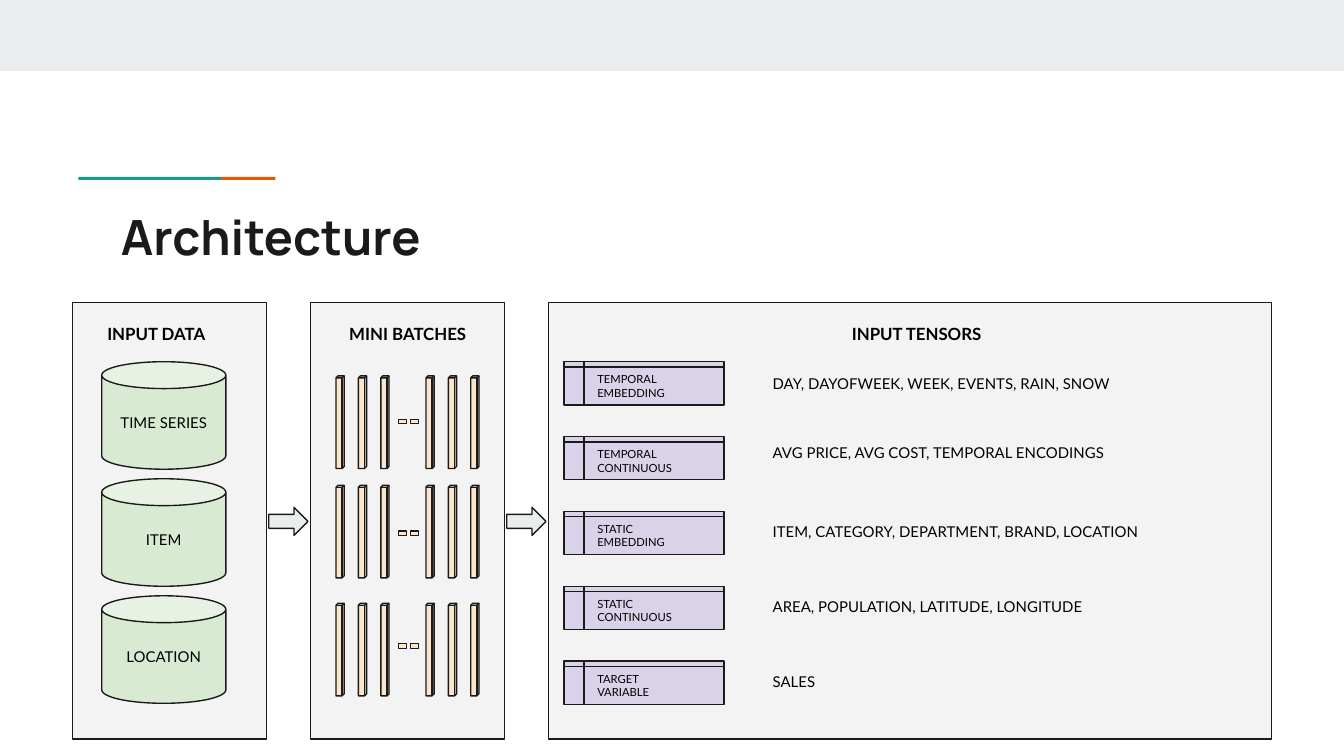
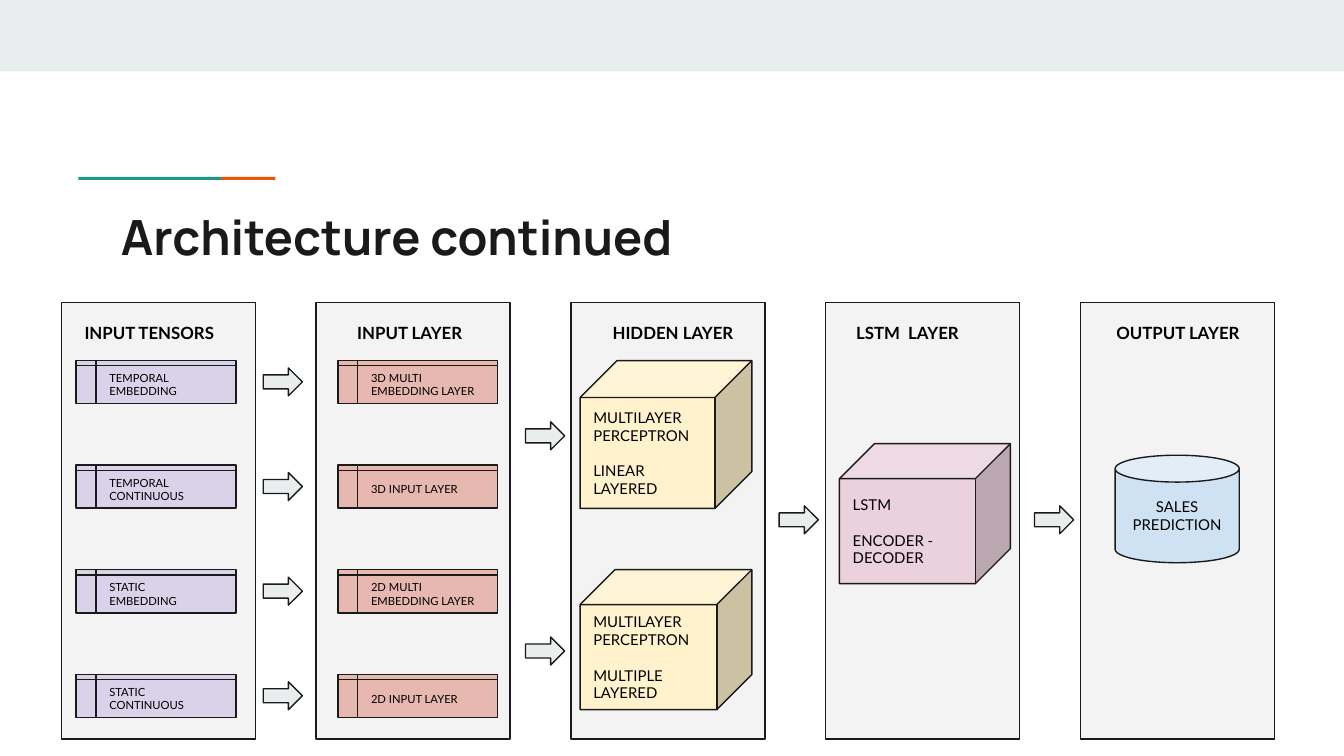
from pptx import Presentation
from pptx.dml.color import RGBColor
from pptx.enum.shapes import MSO_SHAPE as Shape
from pptx.enum.text import MSO_ANCHOR as Anchor, MSO_AUTO_SIZE as AutoSize, PP_ALIGN as Align
from pptx.util import Pt

INK, BLACK = "1A1A1A", "000000"
BAND, PANEL = "E9EDEE", "F3F3F3"
TEAL, ORANGE = "1A9988", "EB5600"
GREEN, PEACH, LILAC = "D9EAD3", "FCE5CD", "D9D2E9"
ROSE, YELLOW, PINK, BLUE = "E6B8AF", "FFF2CC", "EAD1DC", "CFE2F3"
TITLE_FONT, BODY_FONT = "Manrope", "Lato"

PANEL_TOP, PANEL_WIDTH, PANEL_HEIGHT = 162, 104, 234
CAN_SIZE = (66.5, 57.6)
BLOCK_SIZE = (85.7, 23.1)
ARROW_SIZE = (21, 15)


def color(hex_string):
    return RGBColor.from_string(hex_string)


def style_text(frame, size, font, ink, bold=False, align=Align.LEFT):
    for para in frame.paragraphs:
        para.alignment = align
        for span in para.runs:
            span.font.size = Pt(size)
            span.font.name = font
            span.font.bold = bold
            span.font.color.rgb = color(ink)


def set_margins(frame):
    frame.margin_left = frame.margin_right = Pt(7.2)
    frame.margin_top = frame.margin_bottom = Pt(7.2)
    frame.word_wrap = True


def add_box(page, kind, left, top, width, height, fill, line=INK,
            text="", size=8, align=Align.LEFT):
    """Add a filled preset shape, outlined unless line is None."""
    box = page.shapes.add_shape(kind, Pt(left), Pt(top), Pt(width), Pt(height))
    box.shadow.inherit = False
    box.fill.solid()
    box.fill.fore_color.rgb = color(fill)
    if line:
        box.line.color.rgb = color(line)
        box.line.width = Pt(0.75)
    else:
        box.line.fill.background()
    if text:
        frame = box.text_frame
        set_margins(frame)
        frame.vertical_anchor = Anchor.MIDDLE
        frame.text = text
        style_text(frame, size, BODY_FONT, BLACK, align=align)
    return box


def add_panel(page, left, width=PANEL_WIDTH):
    add_box(page, Shape.RECTANGLE, left, PANEL_TOP, width, PANEL_HEIGHT, PANEL)


def add_heading(page, left, top, width, text):
    box = page.shapes.add_textbox(Pt(left), Pt(top), Pt(width), Pt(20))
    set_margins(box.text_frame)
    box.text_frame.text = text
    style_text(box.text_frame, 9, BODY_FONT, BLACK, bold=True)


def add_can(page, left, top, fill, text):
    add_box(page, Shape.CAN, left, top, *CAN_SIZE, fill, text=text, align=Align.CENTER)


def add_block(page, left, top, fill, text):
    add_box(page, Shape.FLOWCHART_INTERNAL_STORAGE, left, top, *BLOCK_SIZE, fill,
            text=text, size=6)


def add_arrow(page, left, top):
    add_box(page, Shape.RIGHT_ARROW, left, top, *ARROW_SIZE, BAND)


def add_network_cube(page, left, top, width, height, fill, text):
    """Add a cube whose second paragraph stands one line below the first."""
    cube = add_box(page, Shape.CUBE, left, top, width, height, fill, text=text)
    cube.text_frame.paragraphs[1].space_before = Pt(9.6)


def add_batch_row(page, top, dash_top):
    """Add six thin bars with two dashes in the middle."""
    for start in (180, 228.2):
        for column in range(3):
            add_box(page, Shape.CUBE, start + 12 * column, top, 4.4, 49.6, PEACH)
    for left in (213.6, 219.8):
        add_box(page, Shape.RECTANGLE, left, dash_top, 4.3, 2.4, PEACH)


def prepare_layout(layout):
    for holder in list(layout.placeholders)[1:]:
        holder.element.getparent().remove(holder.element)
    title = layout.placeholders[0]
    title.left, title.top, title.width, title.height = Pt(57.6), Pt(103.7), Pt(605.5), Pt(42.5)
    set_margins(title.text_frame)
    title.text_frame.vertical_anchor = Anchor.TOP
    title.text_frame.auto_size = AutoSize.NONE


def decorate_layout(layout, page):
    """Draw the band and the title rule, then move them to the layout."""
    for left, top, width, height, fill in (
        (0, 0, 720, 38.2, BAND),
        (42, 94.8, 76.5, 1.6, TEAL),
        (118.5, 94.8, 29, 1.6, ORANGE),
    ):
        box = add_box(page, Shape.RECTANGLE, left, top, width, height, fill, line=None)
        layout.element.cSld.spTree.insert(2, box.element)


def add_page(deck, layout, title):
    page = deck.slides.add_slide(layout)
    page.shapes.title.text_frame.text = title
    style_text(page.shapes.title.text_frame, 26, TITLE_FONT, INK, bold=True)
    return page


def build_inputs(page):
    for left, width in ((38.8, PANEL_WIDTH), (166.3, PANEL_WIDTH), (293.8, 387.4)):
        add_panel(page, left, width)
    for left, width, text in ((50.4, 76.3, "INPUT DATA"), (180, 85.7, "MINI BATCHES"),
                              (449.3, 96.5, "INPUT TENSORS")):
        add_heading(page, left, 168, width, text)

    for row, text in enumerate(("TIME SERIES", "ITEM", "LOCATION")):
        add_can(page, 54.5, 193.8 + 62.7 * row, GREEN, text)
    for top, dash_top in ((201.4, 224.6), (260, 284.4), (323.2, 344.9)):
        add_batch_row(page, top, dash_top)

    tensors = (
        ("TEMPORAL EMBEDDING", 195.4, "DAY, DAYOFWEEK, WEEK, EVENTS, RAIN, SNOW"),
        ("TEMPORAL CONTINUOUS", 232.4, "AVG PRICE, AVG COST, TEMPORAL ENCODINGS"),
        ("STATIC\nEMBEDDING", 274.6, "ITEM, CATEGORY, DEPARTMENT, BRAND, LOCATION"),
        ("STATIC\nCONTINUOUS", 315.1, "AREA, POPULATION, LATITUDE, LONGITUDE"),
        ("TARGET\nVARIABLE", 355.2, "SALES"),
    )
    for row, (name, top, fields) in enumerate(tensors):
        add_block(page, 302.2, 193.8 + 40.1 * row, LILAC, name)
        add_box(page, Shape.ROUNDED_RECTANGLE, 405.9, top, 258, 20, PANEL,
                line=PANEL, text=fields)
    for left in (144, 271.5):
        add_arrow(page, left, 271.8)


def build_layers(page):
    headings = ((38.2, 96.5, "INPUT TENSORS"), (184.3, 96.5, "INPUT LAYER"),
                (321.1, 96.5, "HIDDEN LAYER"), (451.6, 110.2, "LSTM  LAYER"),
                (591, 110.2, "OUTPUT LAYER"))
    for column, (left, width, text) in enumerate(headings):
        add_panel(page, 32.8 + 136.5 * column)
        add_heading(page, left, 167.3, width, text)

    inputs = (
        ("TEMPORAL EMBEDDING", "3D MULTI EMBEDDING LAYER"),
        ("TEMPORAL CONTINUOUS", "3D INPUT LAYER"),
        ("STATIC\nEMBEDDING", "2D MULTI EMBEDDING LAYER"),
        ("STATIC\nCONTINUOUS", "2D INPUT LAYER"),
    )
    for row, (tensor, layer) in enumerate(inputs):
        top = 193.1 + 56.05 * row
        add_block(page, 40.8, top, LILAC, tensor)
        add_arrow(page, 141, top + 4)
        add_block(page, 181, top, ROSE, layer)

    add_network_cube(page, 310.8, 193.2, 92, 79.2, YELLOW,
                     "MULTILAYER PERCEPTRON\nLINEAR\nLAYERED")
    add_network_cube(page, 310.8, 305.2, 92, 75, YELLOW,
                     "MULTILAYER PERCEPTRON\nMULTIPLE\nLAYERED")
    add_network_cube(page, 449.7, 237.7, 91.6, 75, PINK, "LSTM\nENCODER - DECODER")
    add_can(page, 597.4, 243.9, BLUE, "SALES\nPREDICTION")
    for left, top in ((281.5, 226), (281.5, 341.3), (417.4, 271), (554.2, 271)):
        add_arrow(page, left, top)


def main():
    deck = Presentation()
    deck.slide_width, deck.slide_height = Pt(720), Pt(405)
    layout = deck.slide_layouts[5]
    prepare_layout(layout)

    first = add_page(deck, layout, "Architecture")
    decorate_layout(layout, first)
    build_inputs(first)
    build_layers(add_page(deck, layout, "Architecture continued"))
    deck.save("out.pptx")


if __name__ == "__main__":
    main()
